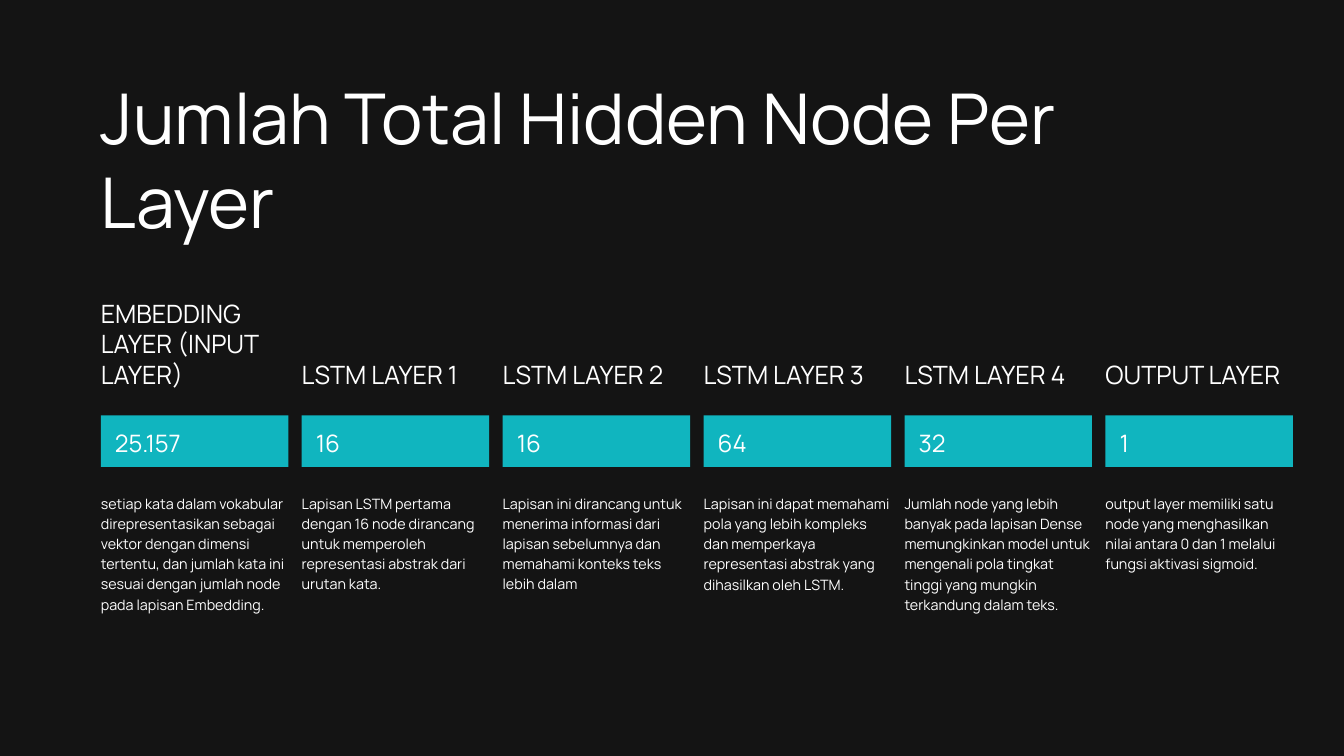
from dataclasses import dataclass

from pptx import Presentation
from pptx.dml.color import RGBColor as RGB
from pptx.enum.shapes import MSO_SHAPE as Shape
from pptx.enum.text import MSO_AUTO_SIZE as AutoSize
from pptx.util import Inches, Pt


@dataclass(frozen=True)
class Theme:
    background: RGB = RGB.from_string("141414")
    accent: RGB = RGB.from_string("10B5BF")
    ink: RGB = RGB.from_string("FFFFFF")
    font: str = "Manrope"
    title: tuple = (75, 90)
    heading: tuple = (27, 32.4)
    value: tuple = (25.7, 35.9)
    body: tuple = (15.3, 21.5)


LAYERS = [
    ("EMBEDDING LAYER (INPUT LAYER)", 3, "25.157",
     "setiap kata dalam vokabular direpresentasikan sebagai vektor dengan dimensi tertentu, "
     "dan jumlah kata ini sesuai dengan jumlah node pada lapisan Embedding.", 8),
    ("LSTM LAYER 1", 1, "16",
     "Lapisan LSTM pertama dengan 16 node dirancang untuk memperoleh representasi abstrak "
     "dari urutan kata.", 5),
    ("LSTM LAYER 2", 1, "16",
     "Lapisan ini dirancang untuk menerima informasi dari lapisan sebelumnya dan memahami "
     "konteks teks lebih dalam", 5),
    ("LSTM LAYER 3", 1, "64",
     "Lapisan ini dapat memahami pola yang lebih kompleks dan memperkaya representasi abstrak "
     "yang dihasilkan oleh LSTM.", 6),
    ("LSTM LAYER 4", 1, "32",
     "Jumlah node yang lebih banyak pada lapisan Dense memungkinkan model untuk mengenali pola "
     "tingkat tinggi yang mungkin terkandung dalam teks.", 7),
    ("OUTPUT LAYER", 1, "1",
     "output layer memiliki satu node yang menghasilkan nilai antara 0 dan 1 melalui fungsi "
     "aktivasi sigmoid.", 5),
]
MARGIN, PITCH, WIDTH, INSET = 7.5, 14.95, 13.95, 1.05
HEADING_BOTTOM, HEADING_LINE, BODY_LINE = 51.47, 4, 2.58


class LayerSlide:
    """Draws the layer slide with lengths in percent of its width and height."""

    def __init__(self, theme):
        self.theme = theme
        self.deck = Presentation()
        self.deck.slide_width, self.deck.slide_height = Inches(20), Inches(11.25)
        self.slide = self.deck.slides.add_slide(self.deck.slide_layouts[6])
        self.slide.background.fill.solid()
        self.slide.background.fill.fore_color.rgb = theme.background

    def area(self, left, top, width, height):
        across, down = self.deck.slide_width / 100, self.deck.slide_height / 100
        return int(left * across), int(top * down), int(width * across), int(height * down)

    def text(self, shapes, wording, style, *area):
        frame = shapes.add_textbox(*self.area(*area)).text_frame
        frame_format = {"word_wrap": True, "auto_size": AutoSize.SHAPE_TO_FIT_TEXT,
                        "margin_left": 0, "margin_top": 0, "margin_right": 0, "margin_bottom": 0}
        for name, setting in frame_format.items():
            setattr(frame, name, setting)
        size, spacing = style
        paragraph = frame.paragraphs[0]
        paragraph.line_spacing = Pt(spacing)
        run = paragraph.add_run()
        run.text = wording
        for name, setting in {"size": Pt(size), "name": self.theme.font}.items():
            setattr(run.font, name, setting)
        run.font.color.rgb = self.theme.ink

    def bar(self, shapes, *area):
        bar = shapes.add_shape(Shape.RECTANGLE, *self.area(*area))
        bar.shadow.inherit = False
        bar.fill.solid()
        bar.fill.fore_color.rgb = self.theme.accent
        bar.line.fill.background()

    def title(self, wording):
        self.text(self.slide.shapes, wording, self.theme.title, MARGIN, 9.87, 84.95, 22.31)

    def layer(self, column, heading, heading_lines, nodes, body, body_lines):
        shapes = self.slide.shapes.add_group_shape().shapes
        left = MARGIN + column * PITCH
        heading_height = heading_lines * HEADING_LINE
        self.text(shapes, heading, self.theme.heading,
                  left, HEADING_BOTTOM - heading_height, WIDTH, heading_height)
        self.bar(shapes, left, 54.93, WIDTH, 6.84)
        self.text(shapes, nodes, self.theme.value, left + INSET, 56.09, WIDTH - 2 * INSET, 4.09)
        self.text(shapes, body, self.theme.body, left, 65.16, WIDTH, body_lines * BODY_LINE)


def main():
    page = LayerSlide(Theme())
    page.title("Jumlah Total Hidden Node Per Layer")
    for column, layer in enumerate(LAYERS):
        page.layer(column, *layer)
    page.deck.save("out.pptx")


if __name__ == "__main__":
    main()
